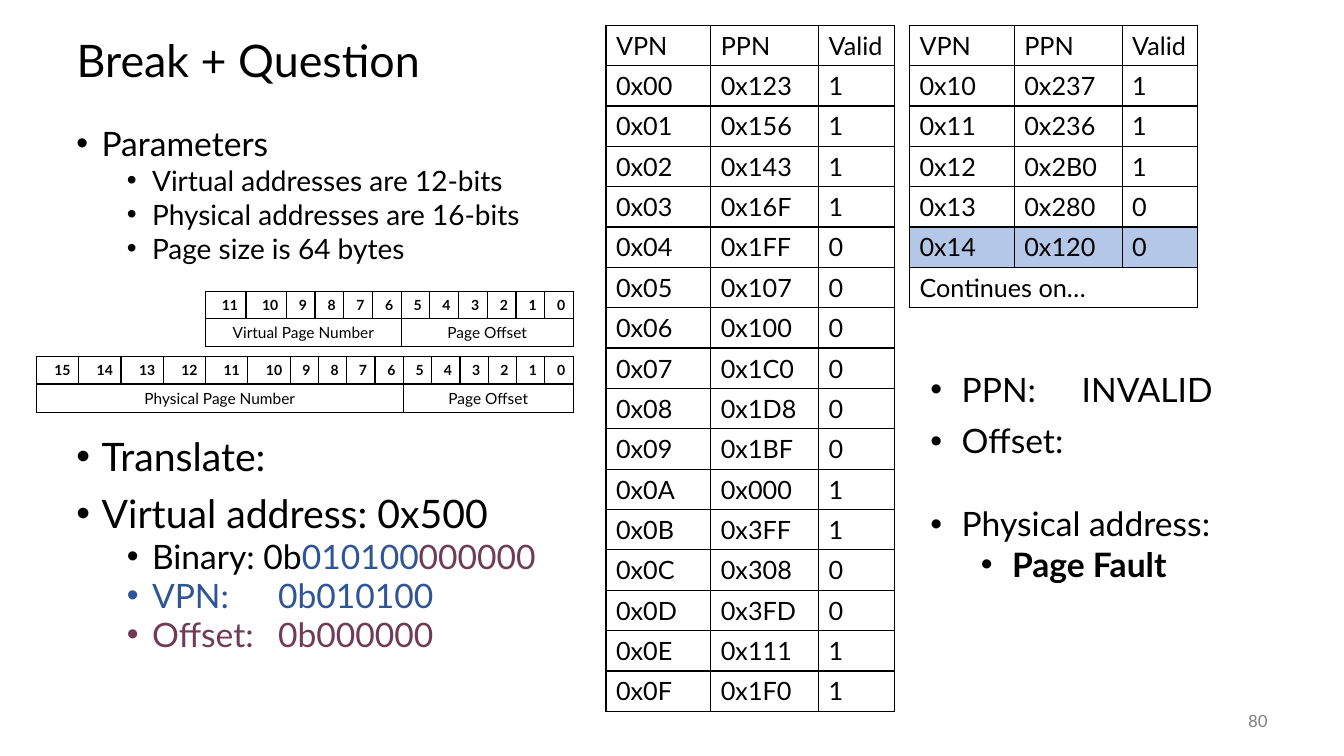
from lxml import etree
from pptx import Presentation
from pptx.dml.color import RGBColor
from pptx.enum.text import MSO_ANCHOR as Anchor, PP_ALIGN as Align
from pptx.oxml.ns import qn
from pptx.util import Inches, Pt

BLACK, BLUE, PLUM = "000000", "2F5597", "703B56"
GRAY, HIGHLIGHT = "808080", "B4C7E7"


def paint(fill, color):
    fill.solid()
    fill.fore_color.rgb = RGBColor.from_string(color)


def add_run(paragraph, text, size, color=BLACK, bold=False):
    run = paragraph.add_run()
    run.text = text
    run.font.name = "Lato"
    run.font.size = Pt(size)
    run.font.bold = bold
    paint(run.font.fill, color)


presentation = Presentation()
presentation.slide_width = Inches(13.33)
presentation.slide_height = Inches(7.5)
slide = presentation.slides.add_slide(presentation.slide_layouts[5])

title = slide.shapes.title
title.left, title.top, title.width, title.height = map(Inches, (0.66, 0.25, 12, 0.75))
title.text_frame.vertical_anchor = Anchor.MIDDLE
heading = title.text_frame.paragraphs[0]
heading.alignment = Align.LEFT
heading.line_spacing = 0.9
add_run(heading, "Break + Question", 32)

text_boxes = [
    ((0.66, 1.25, 5.3, 1.5), 0.8, 0.25, [
        (0, 0, 24, [("Parameters", BLACK)]),
        (1, 5, 20, [("Virtual addresses are 12-bits", BLACK)]),
        (1, 5, 20, [("Physical addresses are 16-bits", BLACK)]),
        (1, 5, 20, [("Page size is 64 bytes", BLACK)]),
    ]),
    ((0.66, 4.33, 5.3, 2.42), 0.8, 0.25, [
        (0, 0, 28, [("Translate:", BLACK)]),
        (0, 14, 28, [("Virtual address: 0x500", BLACK)]),
        (1, 5, 24, [("Binary: 0b", BLACK), ("010100", BLUE), ("000000", PLUM)]),
        (1, 5, 24, [("VPN:\t0b010100", BLUE)]),
        (1, 5, 24, [("Offset:\t0b000000", PLUM)]),
    ]),
    ((9.13, 3.61, 3.81, 2.26), 1, 0.31, [
        (0, 0, 24, [("PPN:\tINVALID", BLACK)]),
        (0, 8, 24, [("Offset:", BLACK)]),
        (0, 30.5, 24, [("Physical address:", BLACK)]),
        (1, 0, 24, [("Page Fault", BLACK)]),
    ]),
]
for place, spacing, hanging, lines in text_boxes:
    frame = slide.shapes.add_textbox(*map(Inches, place)).text_frame
    frame.word_wrap = True
    for index, (level, space, size, runs) in enumerate(lines):
        paragraph = frame.add_paragraph() if index else frame.paragraphs[0]
        properties = paragraph._p.get_or_add_pPr()
        properties.set("marL", str(Inches(hanging + level * 0.5)))
        properties.set("indent", str(-Inches(hanging)))
        etree.SubElement(properties, qn("a:buFont"), typeface="Arial")
        etree.SubElement(properties, qn("a:buChar"), char="•")
        paragraph.level = level
        paragraph.line_spacing = spacing
        paragraph.space_before = Pt(space)
        for text, color in runs:
            add_run(paragraph, text, size, color, text == "Page Fault")

number_box = slide.shapes.add_textbox(*map(Inches, (11.67, 6.95, 1, 0.4)))
number_box.text_frame.vertical_anchor = Anchor.MIDDLE
number_box.text_frame.word_wrap = True
number = number_box.text_frame.paragraphs[0]
number.alignment = Align.RIGHT
add_run(number, "80", 12, GRAY)

header = ["VPN", "PPN", "Valid"]
first_pages = "123 156 143 16F 1FF 107 100 1C0 1D8 1BF 000 3FF 308 3FD 111 1F0".split()
first_valid = "1111000000110011"
next_pages = "237 236 2B0 280 120".split()
next_valid = "11100"
first_rows = [header] + [
    [f"0x{vpn:02X}", f"0x{ppn}", valid]
    for vpn, (ppn, valid) in enumerate(zip(first_pages, first_valid))]
next_rows = [header] + [
    [f"0x{vpn:02X}", f"0x{ppn}", valid]
    for vpn, (ppn, valid) in enumerate(zip(next_pages, next_valid), 16)]
next_rows.append(["Continues on…", None, None])

offset_cells = ["Page Offset"] + [None] * 5
virtual_rows = [[str(bit) for bit in range(11, -1, -1)],
                ["Virtual Page Number"] + [None] * 5 + offset_cells]
physical_rows = [[str(bit) for bit in range(15, -1, -1)],
                 ["Physical Page Number"] + [None] * 9 + offset_cells]

page_columns = [1.04, 1.07, 0.75]
virtual_columns = [0.4] * 2 + [(3.65 - 2 * 0.4) / 10] * 10
physical_columns = [0.42] * 6 + [(5.33 - 6 * 0.42) / 10] * 10
bit_heights = [0.27, 0.28]

tables = [
    (6.01, 0.25, page_columns, [0.4] * 17, first_rows),
    (9.02, 0.25, page_columns, [0.4] * 7, next_rows),
    (2.04, 2.89, virtual_columns, bit_heights, virtual_rows),
    (0.36, 3.54, physical_columns, bit_heights, physical_rows),
]
for left, top, widths, heights, rows in tables:
    table = slide.shapes.add_table(
        len(heights), len(widths), Inches(left), Inches(top),
        Inches(sum(widths)), Inches(sum(heights))).table
    table.first_row = table.horz_banding = False
    for column, width in zip(table.columns, widths):
        column.width = Inches(width)
    for row, height in zip(table.rows, heights):
        row.height = Inches(height)
    bit_table = heights is bit_heights
    for row_index, texts in enumerate(rows):
        for column_index, text in enumerate(texts):
            cell = table.cell(row_index, column_index)
            properties = cell._tc.get_or_add_tcPr()
            for side in ("a:lnL", "a:lnR", "a:lnT", "a:lnB"):
                border = etree.SubElement(properties, qn(side), w=str(Pt(1)))
                border_fill = etree.SubElement(border, qn("a:solidFill"))
                etree.SubElement(border_fill, qn("a:srgbClr"), val=BLACK)
            if texts[0] == "0x14":
                paint(cell.fill, HIGHLIGHT)
            else:
                cell.fill.background()
            paragraph = cell.text_frame.paragraphs[0]
            if bit_table:
                cell.vertical_anchor = Anchor.MIDDLE
                cell.margin_top = cell.margin_bottom = Inches(0.03)
                cell.margin_left = 0
                cell.margin_right = Inches(0 if row_index else 0.08)
                paragraph.alignment = Align.CENTER if row_index else Align.RIGHT
                paragraph.font.size = Pt(10)
            if text is None:
                continue
            size = (11 if row_index else 10) if bit_table else 18
            add_run(paragraph, text, size, bold=bit_table and row_index == 0)
            span = 1
            while texts[column_index + span:column_index + span + 1] == [None]:
                span += 1
            if span > 1:
                cell.merge(table.cell(row_index, column_index + span - 1))

presentation.save("out.pptx")
